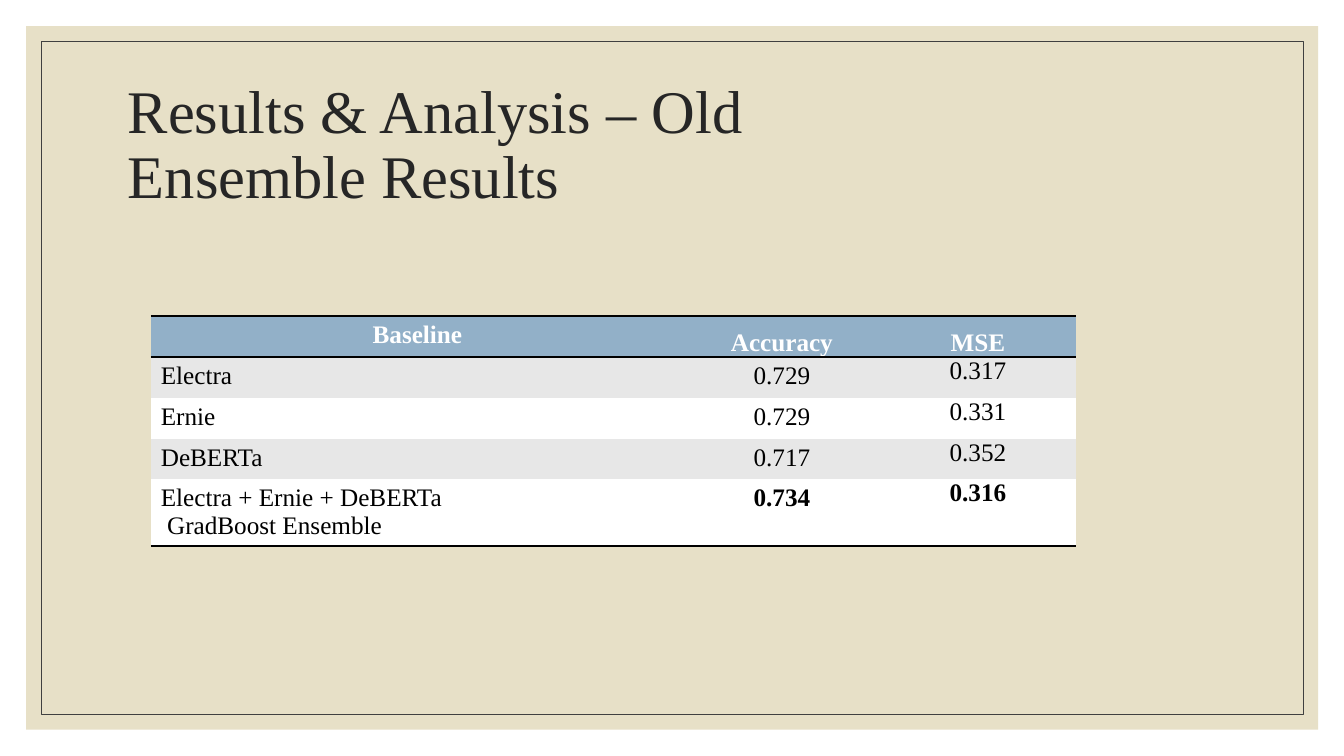
"""Build the slide that lists the old ensemble results."""
from dataclasses import dataclass
from typing import Optional

from lxml.etree import SubElement
from pptx import Presentation
from pptx.dml.color import RGBColor
from pptx.enum.shapes import MSO_SHAPE
from pptx.enum.text import MSO_ANCHOR as Anchor, MSO_AUTO_SIZE as AutoSize, PP_ALIGN as Align
from pptx.oxml.ns import qn
from pptx.slide import Slide
from pptx.table import _Cell as Cell
from pptx.util import Cm, Pt

FONT = "Times New Roman"
WHITE = RGBColor(0xFF, 0xFF, 0xFF)
BLACK = RGBColor(0x00, 0x00, 0x00)
SAND = RGBColor(0xE7, 0xE0, 0xC7)
FRAME_GREY = RGBColor(0x40, 0x40, 0x40)
TITLE_GREY = RGBColor(0x26, 0x26, 0x26)
HEADER_BLUE = RGBColor(0x92, 0xB0, 0xC8)
BAND_GREY = RGBColor(0xE7, 0xE7, 0xE7)

COLUMN_WIDTHS = (13.44, 4.93, 4.95)
ROW_HEIGHT = 1.03
LAST_ROW_HEIGHT = 1.68
RESULTS = (
    ("Baseline", "Accuracy", "MSE"),
    ("Electra", "0.729", "0.317"),
    ("Ernie", "0.729", "0.331"),
    ("DeBERTa", "0.717", "0.352"),
    ("Electra + Ernie + DeBERTa\n GradBoost Ensemble", "0.734", "0.316"),
)
LAST_ROW = len(RESULTS) - 1


@dataclass(frozen=True)
class Panel:
    left: float
    top: float
    width: float
    height: float
    fill: Optional[RGBColor] = None
    line: Optional[RGBColor] = None


PANELS = (
    Panel(0.66, 0.66, 32.56, 17.73, fill=SAND),
    Panel(1.04, 1.04, 31.8, 16.97, line=FRAME_GREY),
)


def add_panel(slide: Slide, panel: Panel) -> None:
    shape = slide.shapes.add_shape(
        MSO_SHAPE.RECTANGLE, Cm(panel.left), Cm(panel.top), Cm(panel.width), Cm(panel.height)
    )
    shape.shadow.inherit = False
    if panel.fill is None:
        shape.fill.background()
    else:
        shape.fill.solid()
        shape.fill.fore_color.rgb = panel.fill
    if panel.line is None:
        shape.line.fill.background()
    else:
        shape.line.color.rgb = panel.line
        shape.line.width = Pt(0.5)
    slide.shapes.title.element.addprevious(shape.element)


def format_title(slide: Slide) -> None:
    title = slide.shapes.title
    title.left, title.top, title.width, title.height = Cm(2.97), Cm(1.78), Cm(27.94), Cm(3.81)
    frame = title.text_frame
    frame.text = "Results & Analysis – Old\vEnsemble Results"
    frame.auto_size = AutoSize.NONE
    frame.word_wrap = True
    frame.vertical_anchor = Anchor.MIDDLE
    paragraph = frame.paragraphs[0]
    paragraph.alignment = Align.LEFT
    paragraph.line_spacing = 0.9
    paragraph.font.name = FONT
    paragraph.font.size = Pt(43.2)
    paragraph.font.color.rgb = TITLE_GREY


def set_borders(cell: Cell, ruled_sides: str) -> None:
    properties = cell._tc.get_or_add_tcPr()
    for side in "LRTB":
        if side in ruled_sides:
            line = SubElement(properties, qn(f"a:ln{side}"), w=str(Pt(2)))
            fill = SubElement(line, qn("a:solidFill"))
            SubElement(fill, qn("a:srgbClr"), val=str(BLACK))
        else:
            line = SubElement(properties, qn(f"a:ln{side}"), w="0")
            SubElement(line, qn("a:noFill"))


def set_margins(cell: Cell, sides: float, bottom: float) -> None:
    cell.margin_left = cell.margin_right = cell.margin_top = Cm(sides)
    cell.margin_bottom = Cm(bottom)


def format_cell(cell: Cell, row: int, column: int) -> None:
    is_header = row == 0
    ruled_sides = {0: "TB", 1: "T", LAST_ROW: "B"}.get(row, "")
    set_borders(cell, ruled_sides)
    cell.fill.solid()
    cell.fill.fore_color.rgb = HEADER_BLUE if is_header else (WHITE, BAND_GREY)[row % 2]
    if is_header and column > 0:
        cell.vertical_anchor = Anchor.BOTTOM
        set_margins(cell, 0.03, 0)
    elif column == 2:
        set_margins(cell, 0, 0)
    cell.text = RESULTS[row][column]
    for paragraph in cell.text_frame.paragraphs:
        paragraph.alignment = Align.CENTER if is_header or column > 0 else Align.LEFT
        paragraph.font.name = FONT
        paragraph.font.size = Pt(18)
        paragraph.font.bold = is_header or (row == LAST_ROW and column > 0)
        paragraph.font.color.rgb = WHITE if is_header else BLACK


def add_results_table(slide: Slide) -> None:
    height = LAST_ROW * ROW_HEIGHT + LAST_ROW_HEIGHT
    table = slide.shapes.add_table(
        len(RESULTS), len(COLUMN_WIDTHS), Cm(3.8), Cm(7.96), Cm(sum(COLUMN_WIDTHS)), Cm(height)
    ).table
    table.first_row = False
    table.horz_banding = False
    for column, width in zip(table.columns, COLUMN_WIDTHS):
        column.width = Cm(width)
    for index, row in enumerate(table.rows):
        row.height = Cm(LAST_ROW_HEIGHT if index == LAST_ROW else ROW_HEIGHT)
        for column, cell in enumerate(row.cells):
            format_cell(cell, index, column)


def main() -> None:
    presentation = Presentation()
    presentation.slide_width, presentation.slide_height = Cm(33.87), Cm(19.05)
    slide = presentation.slides.add_slide(presentation.slide_layouts[5])
    slide.background.fill.solid()
    slide.background.fill.fore_color.rgb = WHITE
    for panel in PANELS:
        add_panel(slide, panel)
    format_title(slide)
    add_results_table(slide)
    presentation.save("out.pptx")


if __name__ == "__main__":
    main()
